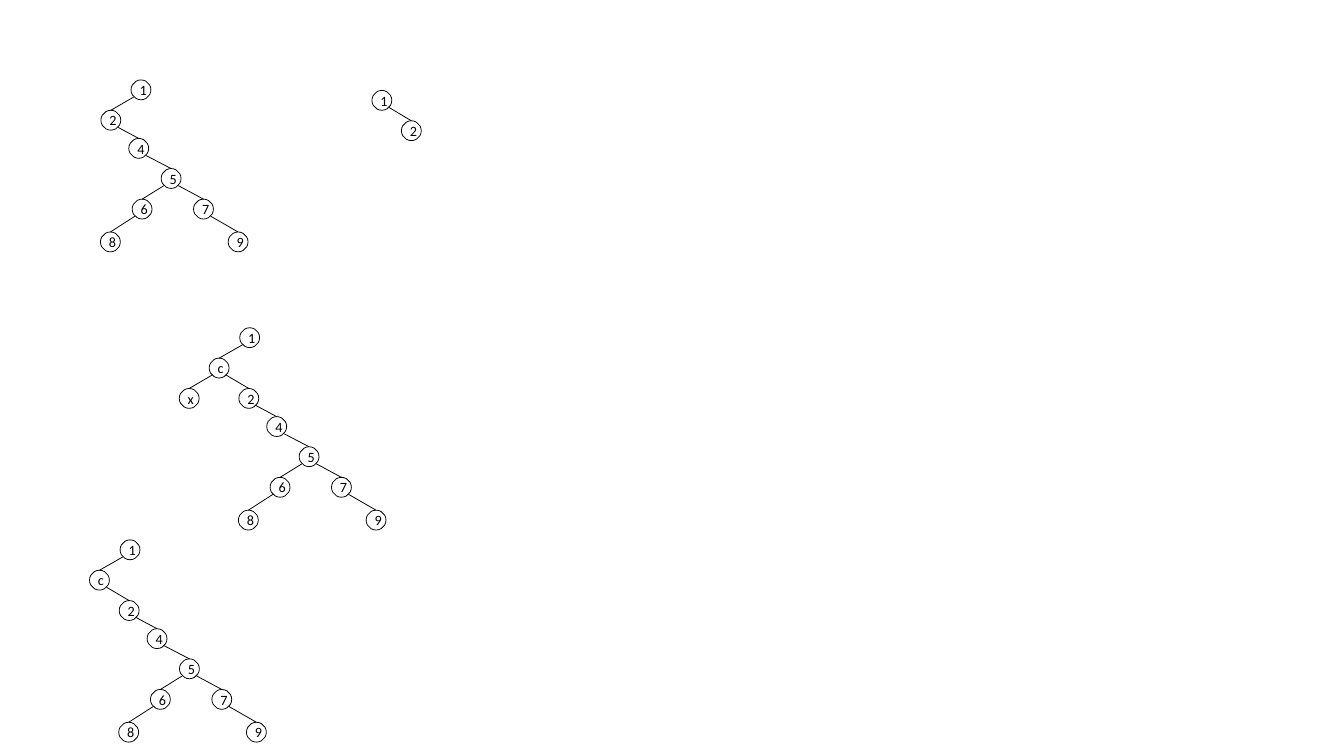
from dataclasses import dataclass
from math import copysign, sqrt

from lxml.etree import SubElement
from pptx import Presentation
from pptx.dml.color import RGBColor
from pptx.enum.shapes import MSO_CONNECTOR as Connector, MSO_SHAPE as Shape
from pptx.enum.text import MSO_ANCHOR as Anchor, PP_ALIGN as Align
from pptx.oxml.ns import qn
from pptx.util import Cm, Pt


@dataclass(frozen=True)
class Theme:
    paper: RGBColor = RGBColor(0xFF, 0xFF, 0xFF)
    ink: RGBColor = RGBColor(0x00, 0x00, 0x00)
    font: str = "Calibri"
    label_size: int = 18
    line_width: float = 1
    node_size: float = 0.89


@dataclass(frozen=True)
class Node:
    """A tree node; dx and dy are its offset in cm from its parent."""
    label: str
    dx: float
    dy: float
    children: tuple = ()


class TreeSlide:
    def __init__(self, slide, theme):
        self.slide = slide
        self.theme = theme

    def circle(self, label, left, top):
        theme = self.theme
        size = Cm(theme.node_size)
        circle = self.slide.shapes.add_shape(Shape.OVAL, Cm(left), Cm(top), size, size)
        circle.shadow.inherit = False
        circle.fill.solid()
        circle.fill.fore_color.rgb = theme.paper
        self.outline(circle.line)
        frame = circle.text_frame
        frame.text = label
        frame.vertical_anchor = Anchor.MIDDLE
        paragraph = frame.paragraphs[0]
        paragraph.alignment = Align.CENTER
        font = paragraph.runs[0].font
        font.name = theme.font
        font.size = Pt(theme.label_size)
        font.color.rgb = theme.ink
        return circle

    def outline(self, line):
        line.color.rgb = self.theme.ink
        line.width = Pt(self.theme.line_width)

    def edge(self, parent, child):
        """Run from the parent's lower diagonal point to the child's top."""
        radius = parent.width / 2
        diagonal = radius / sqrt(2)
        start_x = parent.left + radius + copysign(diagonal, child.left - parent.left)
        start_y = parent.top + radius + diagonal
        edge = self.slide.shapes.add_connector(
            Connector.STRAIGHT, int(start_x), int(start_y),
            int(child.left + radius), child.top)
        edge.end_connect(child, 0)
        self.outline(edge.line)
        SubElement(edge._element.spPr, qn("a:effectLst"))

    def tree(self, node, left=0, top=0):
        """Draw a node and its descendants, and return the node's circle."""
        left, top = left + node.dx, top + node.dy
        circle = self.circle(node.label, left, top)
        for child in node.children:
            self.edge(circle, self.tree(child, left, top))
        return circle


def branch_from_two(dx, dy):
    """The branch below node 2, which three of the trees share."""
    six = Node("6", -1.3, 1.37, (Node("8", -1.42, 1.47),))
    seven = Node("7", 1.45, 1.37, (Node("9", 1.55, 1.47),))
    five = Node("5", 1.45, 1.35, (six, seven))
    return Node("2", dx, dy, (Node("4", 1.25, 1.26, (five,)),))


def main():
    presentation = Presentation()
    presentation.slide_width = Cm(60.2)
    presentation.slide_height = Cm(33.86)
    slide = presentation.slides.add_slide(presentation.slide_layouts[6])
    canvas = TreeSlide(slide, Theme())

    level = 1.36
    two = branch_from_two(1.33, level)
    x = Node("x", -1.34, level)
    trees = (
        Node("1", 5.87, 3.58, (branch_from_two(-1.35, level),)),
        Node("1", 16.66, 4.05, (Node("2", 1.32, level),)),
        Node("1", 10.74, 14.68, (Node("c", -1.37, level, (x, two)),)),
        Node("1", 5.38, 24.18, (Node("c", -1.37, level, (two,)),)),
    )
    for root in trees:
        canvas.tree(root)
    presentation.save("out.pptx")


if __name__ == "__main__":
    main()
